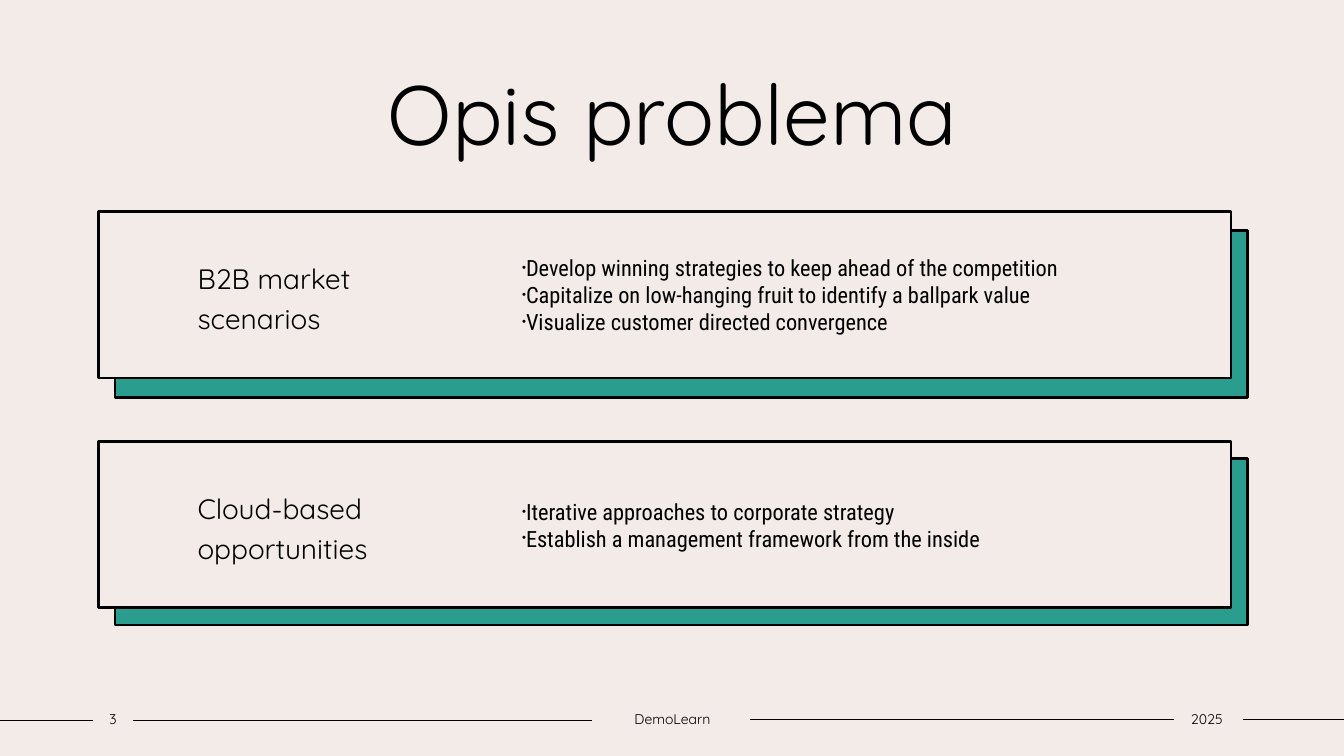
from lxml import etree
from pptx import Presentation
from pptx.dml.color import RGBColor
from pptx.enum.shapes import MSO_CONNECTOR, MSO_SHAPE
from pptx.enum.text import MSO_ANCHOR, PP_ALIGN
from pptx.oxml.ns import qn
from pptx.util import Inches, Pt

RECTANGLE = MSO_SHAPE.RECTANGLE
STRAIGHT = MSO_CONNECTOR.STRAIGHT
MIDDLE = MSO_ANCHOR.MIDDLE
LEFT, CENTER = PP_ALIGN.LEFT, PP_ALIGN.CENTER

COLORS = {"paper": "F3EBE8", "teal": "2A9D8F", "ink": "000000"}
HEADING_FONT, BODY_FONT = "Quicksand", "Roboto Condensed"

CARD_LEFT, CARD_WIDTH, CARD_HEIGHT = 0.98, 11.23, 1.65
# card top, shadow top, heading, bullets
CARDS = [
    (2.1, 2.29, "B2B market \vscenarios", [
        "Develop winning strategies to keep ahead of the competition",
        "Capitalize on low-hanging fruit to identify a ballpark value",
        "Visualize customer directed convergence",
    ]),
    (4.38, 4.55, "Cloud-based opportunities", [
        "Iterative approaches to corporate strategy",
        "Establish a management framework from the inside",
    ]),
]
# start, end, height on the page
FOOTER_LINES = [(0, 0.92, 7.15), (1.32, 5.87, 7.15),
                (7.44, 11.64, 7.14), (12.33, 13.33, 7.14)]
# left, width, text
FOOTER_TEXTS = [(0.92, 0.4, "3"), (5.87, 1.6, "DemoLearn"), (11.62, 0.7, "2025")]


def color(name):
    return RGBColor.from_string(COLORS[name])


def add_bullet(para):
    properties = para._p.get_or_add_pPr()
    properties.set("marL", "0")
    properties.set("indent", str(-Inches(0.15)))
    etree.SubElement(properties, qn("a:buSzPct")).set("val", "50000")
    etree.SubElement(properties, qn("a:buFont")).set("typeface", "Arial")
    etree.SubElement(properties, qn("a:buChar")).set("char", "•")


def write_text(shape, lines, size, font=HEADING_FONT, align=LEFT,
               spacing=1.0, insets=(0.1, 0.1), bullets=False):
    """Fill a shape with one paragraph a line; insets are left and right."""
    frame = shape.text_frame
    frame.word_wrap = True
    frame.vertical_anchor = MIDDLE
    frame.margin_left, frame.margin_right = map(Inches, insets)
    frame.margin_top = frame.margin_bottom = Inches(0.05)
    for index, line in enumerate(lines):
        para = frame.add_paragraph() if index else frame.paragraphs[0]
        para.text = line
        para.alignment = align
        para.line_spacing = spacing
        para.space_before = Pt(0)
        if bullets:
            add_bullet(para)
        for span in para.runs:
            span.font.name = font
            span.font.size = Pt(size)
            span.font.color.rgb = color("ink")


def add_text(page, left, top, width, height, lines, size, **text_format):
    box = page.shapes.add_textbox(*map(Inches, (left, top, width, height)))
    write_text(box, lines, size, **text_format)


def add_panel(page, left, top, fill):
    panel = page.shapes.add_shape(
        RECTANGLE, *map(Inches, (left, top, CARD_WIDTH, CARD_HEIGHT)))
    panel.shadow.inherit = False
    panel.fill.solid()
    panel.fill.fore_color.rgb = color(fill)
    panel.line.color.rgb = color("ink")
    panel.line.width = Pt(2)
    return panel


def add_card(page, top, shadow_top, heading, bullets):
    add_panel(page, CARD_LEFT + 0.16, shadow_top, "teal")
    panel = add_panel(page, CARD_LEFT, top, "paper")
    write_text(panel, [heading], 20, spacing=1.2, insets=(0.98, 7.1))
    add_text(page, 5.08, top + 0.1, 7.01, 1.45, bullets, 16,
             font=BODY_FONT, bullets=True)


def add_rule(page, start, end, top):
    rule = page.shapes.add_connector(
        STRAIGHT, *map(Inches, (start, top, end, top)))
    rule.line.color.rgb = color("ink")
    rule.line.width = Pt(1)
    etree.SubElement(rule._element.spPr, qn("a:effectLst"))


def set_title(page, text):
    title = page.shapes.title
    title.left, title.top = Inches(1.25), Inches(0.56)
    title.width, title.height = Inches(10.84), Inches(1.11)
    write_text(title, [text], 60, align=CENTER)


def main():
    deck = Presentation()
    deck.slide_width, deck.slide_height = Inches(13.33), Inches(7.5)
    page = deck.slides.add_slide(deck.slide_layouts[5])
    page.background.fill.solid()
    page.background.fill.fore_color.rgb = color("paper")

    set_title(page, "Opis problema")
    for card in CARDS:
        add_card(page, *card)
    for rule in FOOTER_LINES:
        add_rule(page, *rule)
    for left, width, text in FOOTER_TEXTS:
        add_text(page, left, 7, width, 0.27, [text], 10,
                 align=CENTER, insets=(0, 0))
    deck.save("out.pptx")


if __name__ == "__main__":
    main()
